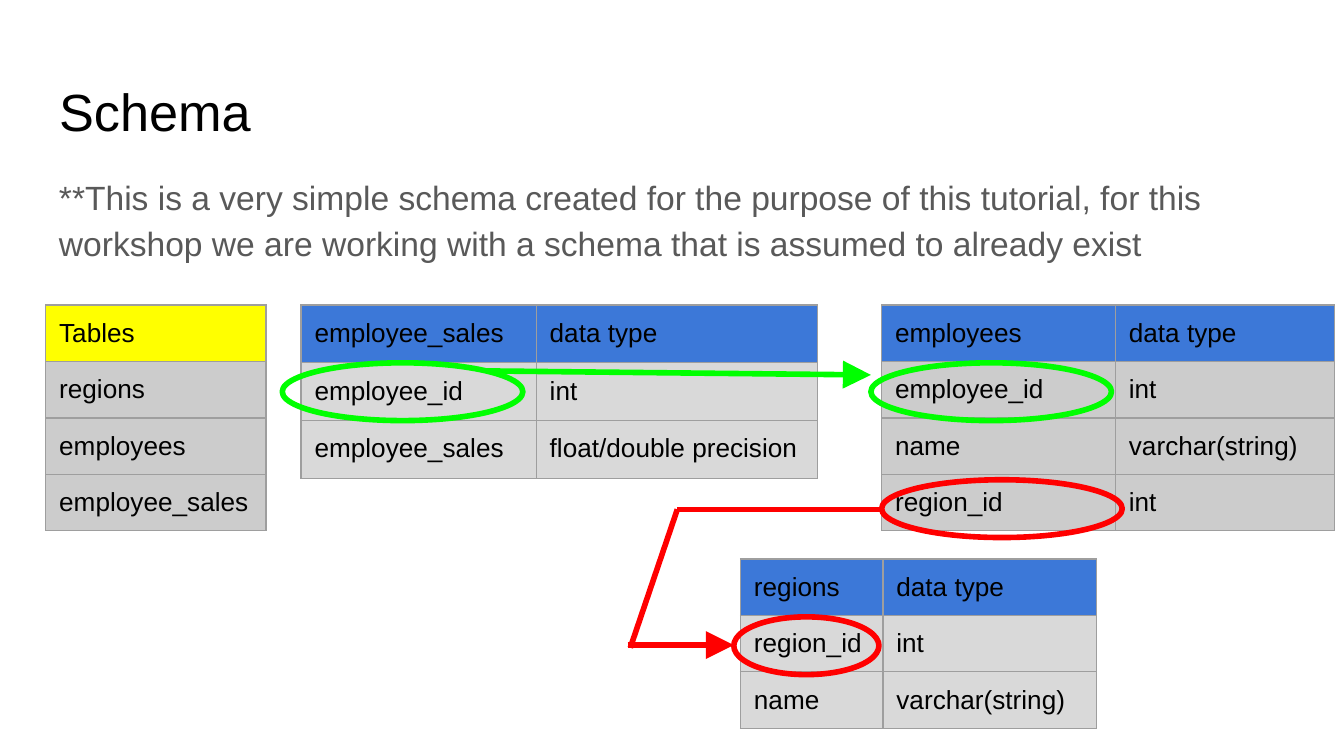
from dataclasses import dataclass

from lxml import etree
from pptx import Presentation
from pptx.dml.color import RGBColor
from pptx.enum import shapes, text
from pptx.oxml import ns
from pptx.util import Inches, Pt

BLUE, YELLOW, GREEN, RED = "3C78D8", "FFFF00", "00FF00", "FF0000"
MID_GREY, LIGHT_GREY, BORDER = "CCCCCC", "D9D9D9", "9E9E9E"
BLACK, BODY_GREY = "000000", "595959"


@dataclass
class SchemaTable:
    left: float
    top: float
    widths: list[float]
    row_height: float
    header_fill: str
    body_fill: str
    rows: list[list[str]]


@dataclass
class KeyRing:
    left: float
    top: float
    width: float
    color: str


@dataclass
class Link:
    start: tuple[float, float]
    end: tuple[float, float]
    color: str
    arrow: bool = False


TABLES = [
    SchemaTable(0.34, 2.27, [1.64], 0.42, YELLOW, MID_GREY,
                [["Tables"], ["regions"], ["employees"], ["employee_sales"]]),
    SchemaTable(6.56, 2.27, [1.74, 1.63], 0.42, BLUE, MID_GREY,
                [["employees", "data type"], ["employee_id", "int"],
                 ["name", "varchar(string)"], ["region_id", "int"]]),
    SchemaTable(5.51, 4.16, [1.06, 1.59], 0.42, BLUE, LIGHT_GREY,
                [["regions", "data type"], ["region_id", "int"],
                 ["name", "varchar(string)"]]),
    SchemaTable(2.24, 2.27, [1.75, 2.09], 0.43, BLUE, LIGHT_GREY,
                [["employee_sales", "data type"], ["employee_id", "int"],
                 ["employee_sales", "float/double precision"]]),
]
KEY_RINGS = [
    KeyRing(6.56, 3.57, 1.79, RED),
    KeyRing(5.46, 4.59, 1.08, RED),
    KeyRing(2.1, 2.7, 1.79, GREEN),
    KeyRing(6.48, 2.7, 1.79, GREEN),
]
LINKS = [
    Link((4.67, 4.8), (5.46, 4.8), RED, arrow=True),
    Link((5.04, 3.79), (6.56, 3.79), RED),
    Link((5.04, 3.79), (4.69, 4.82), RED),
    Link((3.62, 2.76), (6.48, 2.79), GREEN, arrow=True),
]


def rgb(color: str) -> RGBColor:
    """Turn a hex string into a colour."""
    return RGBColor.from_string(color)


def write(frame, words: str, size: int, color: str):
    """Write one left-aligned paragraph and return it."""
    frame.word_wrap = True
    frame.vertical_anchor = text.MSO_ANCHOR.TOP
    para = frame.paragraphs[0]
    para.text = words
    para.alignment = text.PP_ALIGN.LEFT
    para.font.name = "Arial"
    para.font.size = Pt(size)
    para.font.color.rgb = rgb(color)
    return para


def set_margins(target, bottom: float = 0.1) -> None:
    """Set the insets of a text frame or cell."""
    target.margin_left = target.margin_right = Inches(0.1)
    target.margin_top = Inches(0.1)
    target.margin_bottom = Inches(bottom)


def add_borders(cell) -> None:
    """Outline all four sides of a filled cell."""
    properties = cell._tc.get_or_add_tcPr()
    for index, side in enumerate(("lnL", "lnR", "lnT", "lnB")):
        line = etree.Element(ns.qn(f"a:{side}"), w=str(Pt(0.75)))
        fill = etree.SubElement(line, ns.qn("a:solidFill"))
        etree.SubElement(fill, ns.qn("a:srgbClr"), val=BORDER)
        properties.insert(index, line)


def add_schema_table(page, item: SchemaTable) -> None:
    """Draw a table with a coloured header row."""
    count = len(item.rows)
    table = page.shapes.add_table(
        count, len(item.widths), Inches(item.left), Inches(item.top),
        Inches(sum(item.widths)), Inches(item.row_height * count)).table
    table.first_row = table.horz_banding = False
    for column, width in zip(table.columns, item.widths):
        column.width = Inches(width)
    for row_index, words in enumerate(item.rows):
        table.rows[row_index].height = Inches(item.row_height)
        for column_index, word in enumerate(words):
            cell = table.cell(row_index, column_index)
            set_margins(cell, bottom=0.08)
            write(cell.text_frame, word, 14, BLACK)
            cell.fill.solid()
            cell.fill.fore_color.rgb = rgb(
                item.body_fill if row_index else item.header_fill)
            add_borders(cell)


def add_key_ring(page, ring: KeyRing) -> None:
    """Circle a key column with an unfilled ellipse."""
    shape = page.shapes.add_shape(
        shapes.MSO_SHAPE.OVAL, Inches(ring.left), Inches(ring.top),
        Inches(ring.width), Inches(0.43))
    shape.shadow.inherit = False
    shape.fill.background()
    shape.line.color.rgb = rgb(ring.color)
    shape.line.width = Pt(3)


def add_link(page, link: Link) -> None:
    """Draw a straight line, with an arrowhead where wanted."""
    connector = page.shapes.add_connector(
        shapes.MSO_CONNECTOR.STRAIGHT,
        *(Inches(value) for value in link.start + link.end))
    connector.line.color.rgb = rgb(link.color)
    connector.line.width = Pt(3)
    if link.arrow:
        etree.SubElement(connector.line._get_or_add_ln(), ns.qn("a:tailEnd"),
                         type="triangle", w="lg", len="lg")
    etree.SubElement(connector._element.spPr, ns.qn("a:effectLst"))


def add_heading(page) -> None:
    """Fill the title and the remark below it."""
    title = page.shapes.title
    title.left, title.top = Inches(0.34), Inches(0.49)
    title.width, title.height = Inches(9.32), Inches(0.63)
    title.text_frame.auto_size = text.MSO_AUTO_SIZE.NONE
    set_margins(title.text_frame)
    write(title.text_frame, "Schema", 28, BLACK)

    remark = page.shapes.add_textbox(
        Inches(0.34), Inches(1.17), Inches(9.32), Inches(3.74))
    set_margins(remark.text_frame)
    para = write(
        remark.text_frame,
        "**This is a very simple schema created for the purpose of this "
        "tutorial, for this workshop we are working with a schema that is "
        "assumed to already exist", 18, BODY_GREY)
    para.line_spacing = 1.15
    para.space_after = Pt(16)


def main() -> None:
    """Build the schema slide and save it."""
    deck = Presentation()
    deck.slide_width = Inches(10)
    deck.slide_height = deck.slide_width * 9 // 16
    page = deck.slides.add_slide(deck.slide_layouts.get_by_name("Title Only"))
    add_heading(page)
    for item in TABLES:
        add_schema_table(page, item)
    for ring in KEY_RINGS:
        add_key_ring(page, ring)
    for link in LINKS:
        add_link(page, link)
    deck.save("out.pptx")


main()
